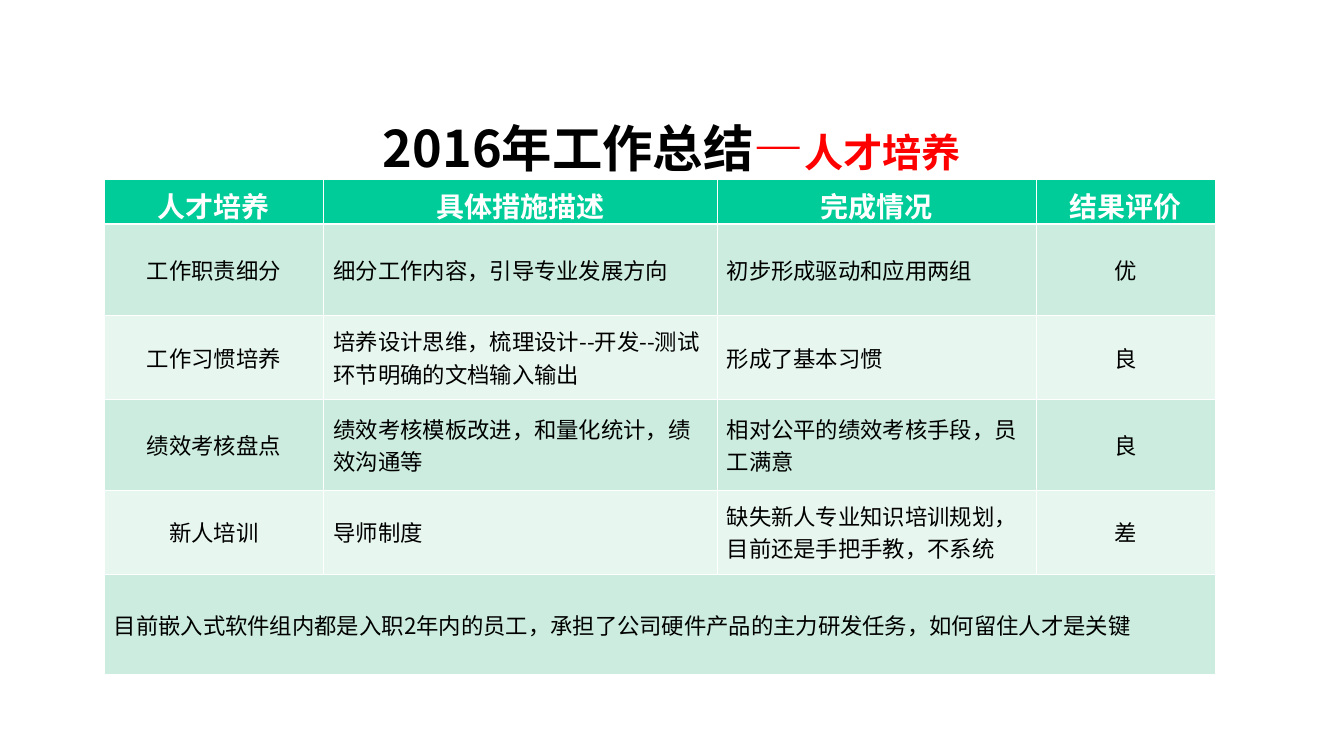
from dataclasses import dataclass

from lxml import etree
from pptx import Presentation
from pptx import util as u
from pptx.dml import color
from pptx.enum import text
from pptx.oxml import ns

FONT = "Noto Sans CJK SC"
HUES = {"ink": "000000", "red": "FF0000", "white": "FFFFFF",
        "head": "00CC99", "dark": "CBECDE", "light": "E7F6EF"}
MID, LEFT = text.PP_ALIGN.CENTER, text.PP_ALIGN.LEFT
PADS = {"margin_left": u.Cm(0.25), "margin_right": u.Cm(0.25),
        "margin_top": u.Cm(0.13), "margin_bottom": u.Cm(0.13),
        "vertical_anchor": text.MSO_ANCHOR.MIDDLE}
THIN, THICK = 0.45, 1.47


@dataclass
class Run:
    words: str
    size: int
    hue: str
    bold: bool = False


@dataclass
class Row:
    height: float
    fill: str
    cells: list[str]


TITLE = [Run("2016年工作总结", 36, "ink", True),
         Run("—", 36, "red", True),
         Run("人才培养", 28, "red", True)]
WIDTHS = [5.54, 9.91, 8.05, 4.52]
ALIGNS = [MID, LEFT, LEFT, MID]
ROWS = [
    Row(1.12, "head", ["人才培养", "具体措施描述", "完成情况", "结果评价"]),
    Row(2.31, "dark", ["工作职责细分", "细分工作内容，引导专业发展方向",
                       "初步形成驱动和应用两组", "优"]),
    Row(2.11, "light", ["工作习惯培养",
                        "培养设计思维，梳理设计--开发--测试环节明确的文档输入输出",
                        "形成了基本习惯", "良"]),
    Row(2.29, "dark", ["绩效考核盘点", "绩效考核模板改进，和量化统计，绩效沟通等",
                       "相对公平的绩效考核手段，员工满意", "良"]),
    Row(2.11, "light", ["新人培训", "导师制度",
                        "缺失新人专业知识培训规划，目前还是手把手教，不系统", "差"]),
    Row(2.54, "dark", ["目前嵌入式软件组内都是入职2年内的员工，"
                       "承担了公司硬件产品的主力研发任务，如何留住人才是关键"]),
]


def rgb(hue: str) -> color.RGBColor:
    return color.RGBColor.from_string(HUES[hue])


def style(item, values: dict) -> None:
    for name, value in values.items():
        setattr(item, name, value)


def write(para, runs: list[Run], align) -> None:
    para.alignment = align
    for part in runs:
        run = para.add_run()
        run.text = part.words
        style(run.font, {"size": u.Pt(part.size), "bold": part.bold, "name": FONT})
        run.font.color.rgb = rgb(part.hue)
        # East Asian typeface
        etree.SubElement(run.font._element, ns.qn("a:ea"), typeface=FONT)


def edge(cell, side: str, width: float) -> None:
    line = etree.SubElement(cell._tc.get_or_add_tcPr(), ns.qn(f"a:ln{side}"),
                            w=str(int(u.Pt(width))))
    fill = etree.SubElement(line, ns.qn("a:solidFill"))
    etree.SubElement(fill, ns.qn("a:srgbClr"), val=HUES["white"])


def draw_title(slide) -> None:
    box = slide.shapes.add_textbox(u.Cm(2.62), u.Cm(2.92), u.Cm(28.63), u.Cm(1.6))
    style(box.text_frame, PADS | {"word_wrap": True})
    write(box.text_frame.paragraphs[0], TITLE, MID)


def draw_table(slide) -> None:
    tall = sum(row.height for row in ROWS)
    frame = slide.shapes.add_table(len(ROWS), len(WIDTHS), u.Cm(2.62), u.Cm(4.52),
                                   u.Cm(sum(WIDTHS)), u.Cm(tall))
    grid = frame.table
    grid.horz_banding = False
    for col, width in zip(grid.columns, WIDTHS):
        col.width = u.Cm(width)

    for i, row in enumerate(ROWS):
        grid.rows[i].height = u.Cm(row.height)
        head = i == 0
        # Borders and fill
        for cell in grid.rows[i].cells:
            style(cell, PADS)
            for side in "LRTB":
                under = (i, side) in [(0, "B"), (1, "T")]
                edge(cell, side, THICK if under else THIN)
            cell.fill.solid()
            cell.fill.fore_color.rgb = rgb(row.fill)
        # Wording; a single entry spans the whole row
        whole = len(row.cells) == 1
        if whole:
            grid.cell(i, 0).merge(grid.cell(i, len(WIDTHS) - 1))
        for j, words in enumerate(row.cells):
            run = Run(words, 20, "white", True) if head else Run(words, 16, "ink")
            align = MID if head else LEFT if whole else ALIGNS[j]
            write(grid.cell(i, j).text_frame.paragraphs[0], [run], align)


def main() -> None:
    deck = Presentation()
    style(deck, {"slide_width": u.Cm(33.88), "slide_height": u.Cm(19.05)})
    slide = deck.slides.add_slide(deck.slide_layouts[6])
    draw_title(slide)
    draw_table(slide)
    deck.save("out.pptx")


if __name__ == "__main__":
    main()
